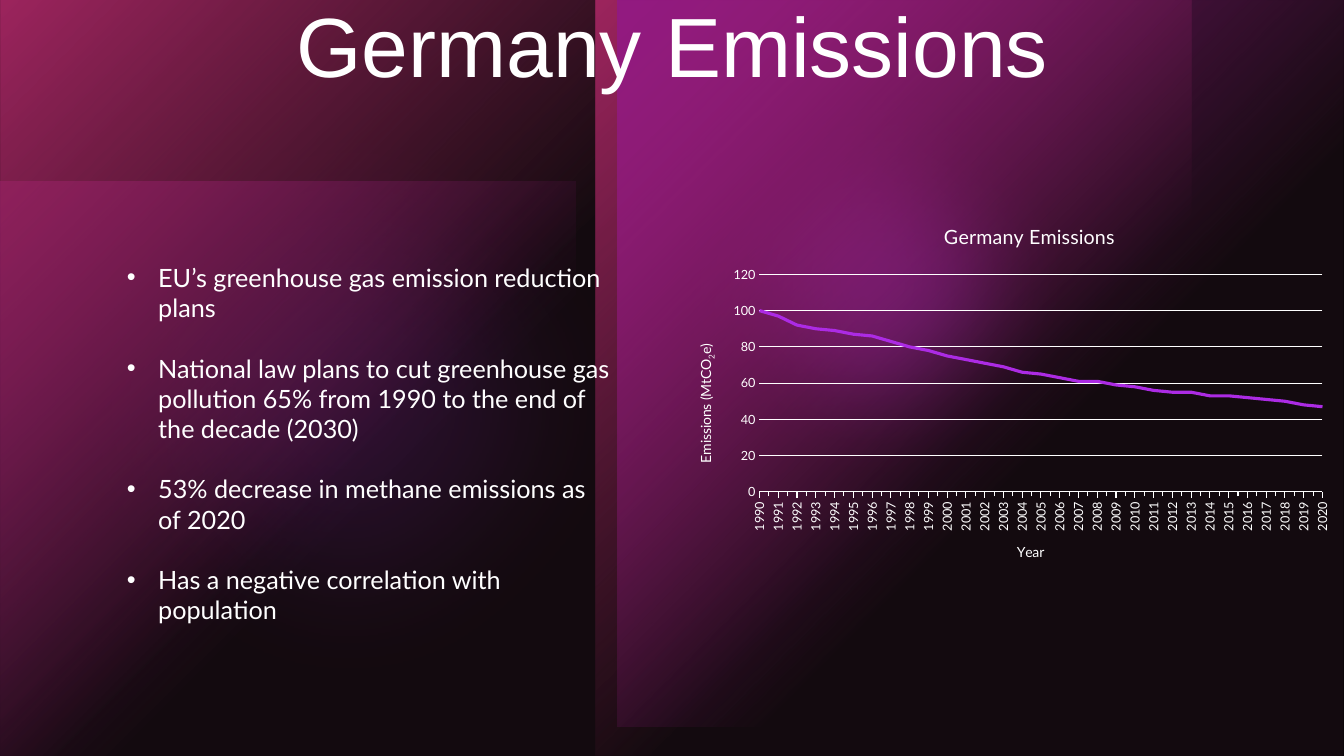
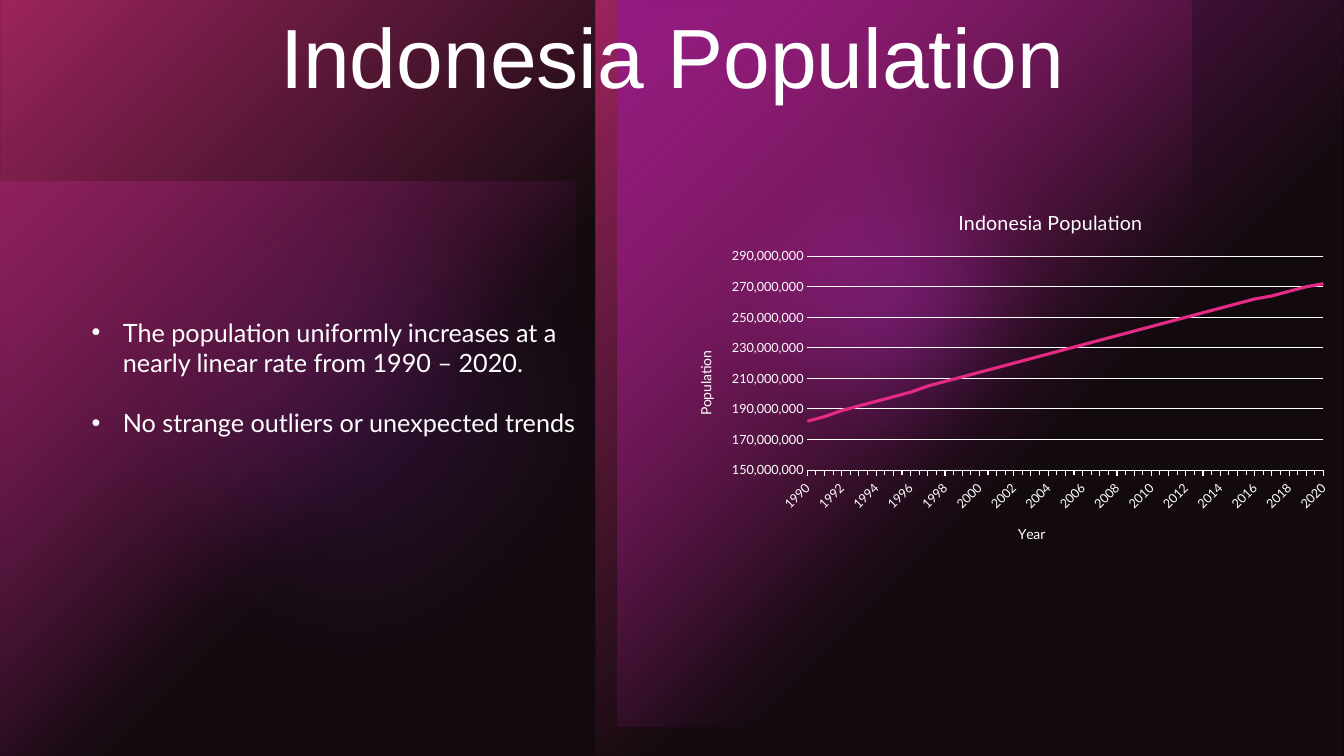
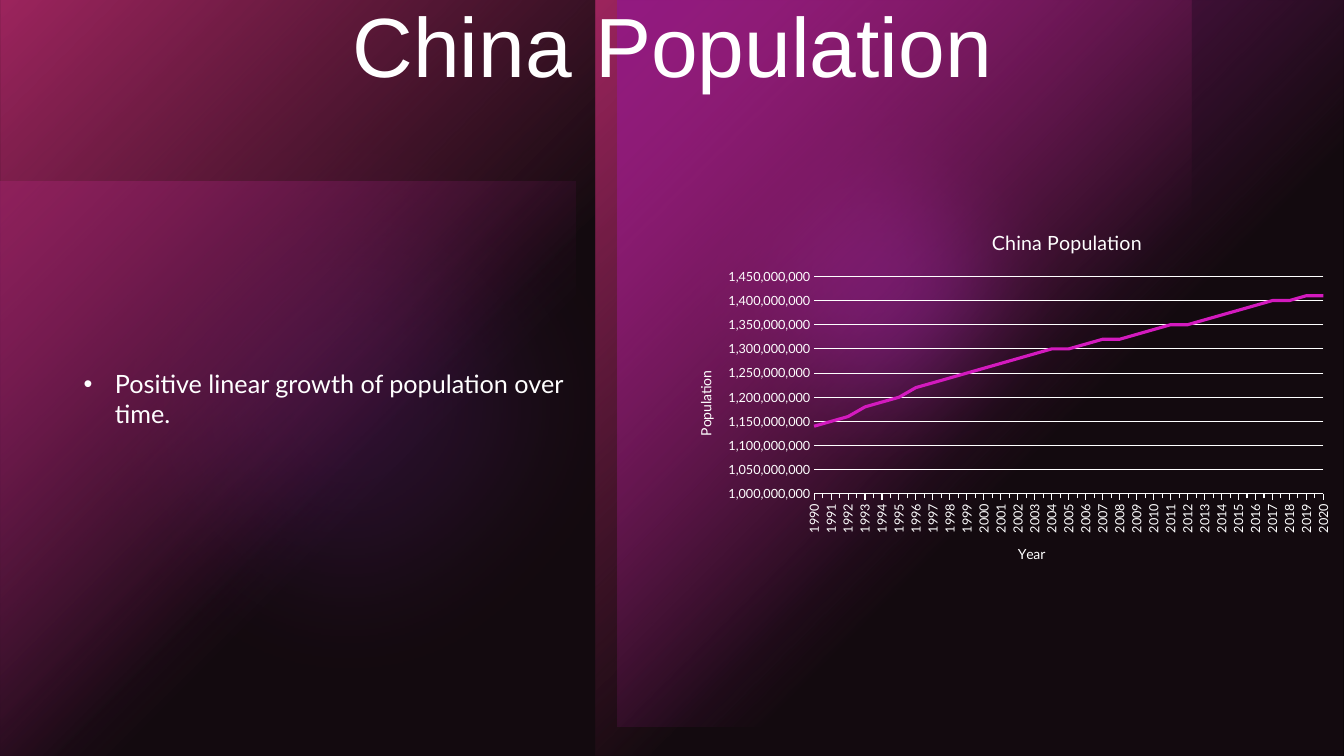
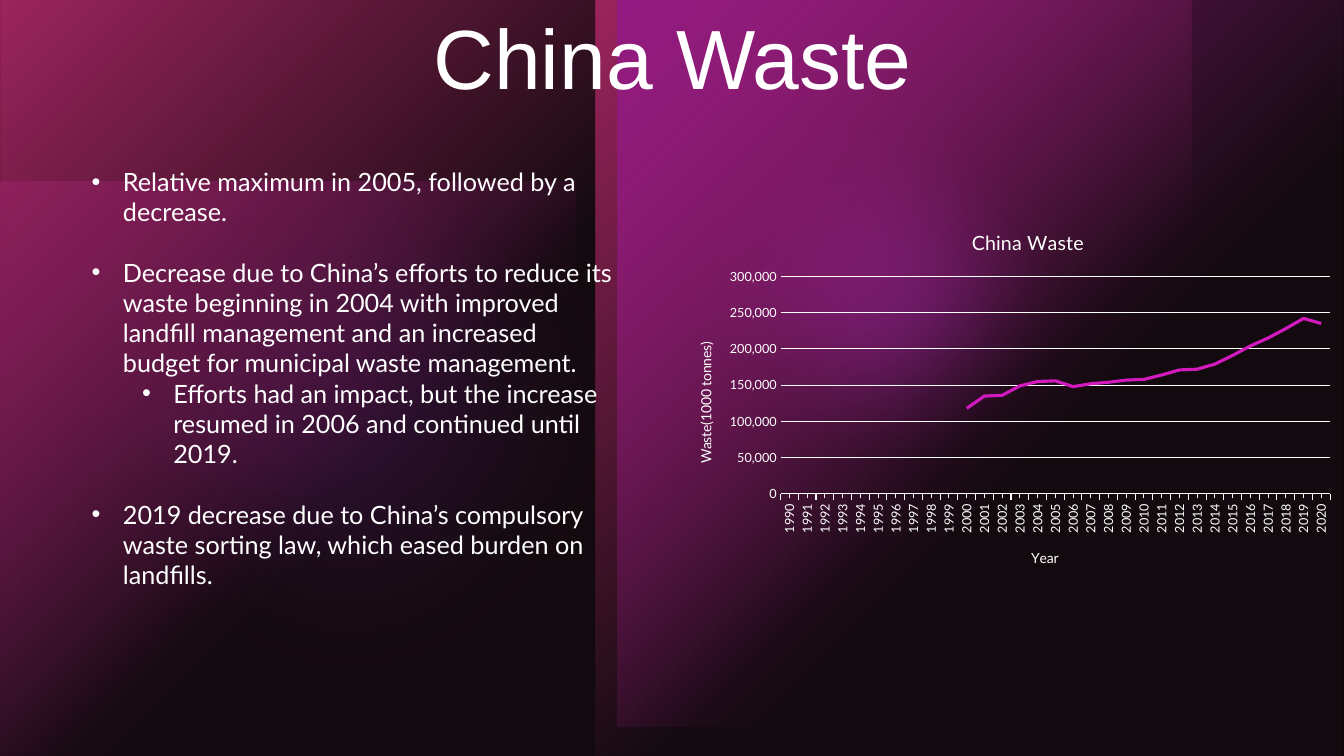
from dataclasses import dataclass

from pptx import Presentation
from pptx.chart.data import CategoryChartData
from pptx.dml.color import RGBColor
from pptx.enum.chart import XL_CHART_TYPE as ChartType, XL_TICK_MARK as TickMark
from pptx.enum.shapes import MSO_SHAPE as Preset
from pptx.enum.text import MSO_ANCHOR as Anchor, MSO_AUTO_SIZE as AutoSize, PP_ALIGN as Align
from pptx.oxml import parse_xml
from pptx.oxml.ns import nsdecls, qn
from pptx.util import Emu, Inches, Pt


@dataclass(frozen=True)
class Theme:
    black: str = "000000"
    white: str = "FFFFFF"
    pink: str = "E42B83"
    magenta: str = "D31ABE"
    violet: str = "AC2BE4"
    veil: str = "311B26"
    # Line colours in series order
    series: tuple = ("E42B83", "D31ABE", "AC2BE4", "5829D5", "2B45E4",
                     "1A81D3", "90124E", "7F1072", "6A1290", "351980")
    title_font: str = "Arial"
    text_font: str = "Lato"
    title_size: int = 60
    list_size: int = 18
    list_gap: float = 21.6
    chart_title_size: int = 14
    axis_title_size: int = 10
    tick_size: int = 9


THEME = Theme()
WIDTH, HEIGHT = 13.33, 7.5
INDENT, SUB_INDENT = 0.31, 0.81
CHART_SIZE = (6.65, 3.66)
TITLE_BOX = (1.63, 0, 10.08, 1.11)

# Backdrop: preset, box, colour, opacity %, kind, soft edge in inches, rotation, flips
BACKDROP = [
    (Preset.RECTANGLE, (0, 1.8, 5.71, 5.71), THEME.magenta, 60, "glow", 0, 0, "V"),
    (Preset.OVAL, (6.29, 0.43, 4.72, 4.72), THEME.violet, 60, "soft", 1, 0, "V"),
    (Preset.OVAL, (0, 0.56, 6.94, 6.94), THEME.violet, 20, "soft", 1.39, 0, "V"),
    (Preset.RECTANGLE, (0, 0, 5.91, 7.5), THEME.pink, 100, "glow", 0, 180, "V"),
    (Preset.RECTANGLE, (5.91, 0, 5.91, 7.5), THEME.pink, 100, "glow", 0, 180, "HV"),
    (Preset.RECTANGLE, (6.13, 0, 7.21, 7.21), THEME.magenta, 100, "glow", 0, 180, "V"),
    (Preset.RECTANGLE, (0, 0, WIDTH, HEIGHT), THEME.veil, 40, "flat", 0, 0, ""),
]

YEARS = [str(year) for year in range(1990, 2021)]

# Chart values are multiplied by "unit"; "filled" is the series (of "count") that
# holds them; layout entries are shares of the chart
SLIDES = [
    dict(
        title="Germany Emissions", title_box=TITLE_BOX, anchor=Anchor.TOP,
        list_box=(1.16, 2.53, 5.01, 3.74),
        items=[
            (0, "EU’s greenhouse gas emission reduction plans"),
            (0, "National law plans to cut greenhouse gas pollution 65% from 1990 to the end of the decade (2030)"),
            (0, "53% decrease in methane emissions as of 2020"),
            (0, "Has a negative correlation with population"),
        ],
        chart=dict(
            at=(6.67, 2.1), color=THEME.violet, unit=1, scale=(0, 120, 20),
            value_title=["Emissions (MtCO", "2", "e)"], count=5, filled=2,
            values=[100, 97, 92, 90, 89, 87, 86, 83, 80, 78, 75, 73, 71, 69, 66, 65,
                    63, 61, 61, 59, 58, 56, 55, 55, 53, 53, 52, 51, 50, 48, 47],
            plot=(0.13, 0.17, 0.84, 0.59), title_at=(0.4, 0.02),
            year_at=(0.51, 0.89), value_at=(0.03, 0.35)),
    ),
    dict(
        title="Indonesia Population", title_box=TITLE_BOX, anchor=Anchor.BOTTOM,
        list_box=(0.81, 3.09, 5.37, 1.31),
        items=[
            (0, "The population uniformly increases at a nearly linear rate from 1990 – 2020."),
            (0, "No strange outliers or unexpected trends"),
        ],
        chart=dict(
            at=(6.68, 1.92), color=THEME.pink, unit=10**6, scale=(150, 290, 20),
            value_title=["Population"], label_angle=-45, label_skip=2,
            values=[182, 185, 189, 192, 195, 198, 201, 205, 208, 211, 214, 217, 220, 223, 226, 229,
                    232, 235, 238, 241, 244, 247, 250, 253, 256, 259, 262, 264, 267, 270, 272],
            plot=(0.2, 0.17, 0.77, 0.58), title_at=(0.42, 0.03),
            year_at=(0.51, 0.89), value_at=(0.03, 0.42)),
    ),
    dict(
        title="China Population", title_box=TITLE_BOX, anchor=Anchor.TOP,
        list_box=(0.73, 3.6, 5.37, 0.71),
        items=[(0, "Positive linear growth of population over time.")],
        chart=dict(
            at=(6.68, 2.12), color=THEME.magenta, unit=10**7, scale=(100, 145, 5),
            value_title=["Population"],
            values=[114, 115, 116, 118, 119, 120, 122, 123, 124, 125, 126, 127, 128, 129, 130, 130,
                    131, 132, 132, 133, 134, 135, 135, 136, 137, 138, 139, 140, 140, 141, 141],
            plot=(0.21, 0.17, 0.76, 0.59), title_at=(0.47, 0.03),
            year_at=(0.51, 0.89), value_at=(0.03, 0.42)),
    ),
    dict(
        title="China Waste", title_box=(0.6, 0.12, 12.14, 1.15), anchor=Anchor.TOP,
        list_box=(0.81, 1.58, 5.37, 4.34),
        items=[
            (0, "Relative maximum in 2005, followed by a decrease."),
            (0, "Decrease due to China’s efforts to reduce its waste beginning in 2004 with improved "
                "landfill management and an increased budget for municipal waste management."),
            (1, "Efforts had an impact, but the increase resumed in 2006 and continued until 2019."),
            (0, "2019 decrease due to China’s compulsory waste sorting law, which eased burden on landfills."),
        ],
        chart=dict(
            at=(6.68, 2.12), color=THEME.magenta, unit=1000, scale=(0, 300, 50),
            value_title=["Waste(1000 tonnes)"], crossing="between", count=10, filled=3,
            values=[None] * 10 + [118, 135, 136, 149, 155, 156, 148, 152, 154, 157, 158,
                                  164, 171, 172, 179, 191, 204, 215, 228, 242, 235],
            plot=(0.16, 0.17, 0.82, 0.59), title_at=(0.44, 0.03),
            year_at=(0.53, 0.9), value_at=(0.03, 0.34)),
    ),
]


def rgb(color):
    return RGBColor.from_string(color)


def set_font(font, size, name=THEME.text_font):
    font.size, font.name, font.bold = Pt(size), name, False
    font.color.rgb = rgb(THEME.white)


def move(shape, box):
    shape.left, shape.top, shape.width, shape.height = map(Inches, box)


# Backdrop
def corner_glow(color, opacity):
    stops = "".join(
        f'<a:gs pos="{place}"><a:srgbClr val="{color}"><a:alpha val="{alpha * 1000}"/></a:srgbClr></a:gs>'
        for place, alpha in ((0, opacity), (60000, 0)))
    return parse_xml(
        f'<a:gradFill {nsdecls("a")} rotWithShape="1"><a:gsLst>{stops}</a:gsLst>'
        '<a:path path="circle"><a:fillToRect r="100000" b="100000"/></a:path></a:gradFill>')


def add_backdrop(layout, page):
    """Draw the backdrop and hand it to the layout, behind its placeholders."""
    layout.background.fill.solid()
    layout.background.fill.fore_color.rgb = rgb(THEME.black)
    for index, (preset, box, color, opacity, kind, edge, turn, flips) in enumerate(BACKDROP):
        shape = page.shapes.add_shape(preset, *map(Inches, box))
        shape.rotation = turn
        shape.shadow.inherit = False
        shape.line.fill.background()
        props = shape.element.spPr
        for axis in flips:
            props.xfrm.set(f"flip{axis}", "1")
        if kind == "glow":
            shape.fill.background()
            props.replace(props.find(qn("a:noFill")), corner_glow(color, opacity))
        else:
            shape.fill.solid()
            shape.fill.fore_color.rgb = rgb(color)
            tint = props.find(qn("a:solidFill"))[0]
            tint.append(parse_xml(f'<a:alpha {nsdecls("a")} val="{opacity * 1000}"/>'))
        if kind == "soft":
            props.find(qn("a:effectLst")).append(
                parse_xml(f'<a:softEdge {nsdecls("a")} rad="{int(Inches(edge))}"/>'))
        shape.element.nvSpPr.cNvPr.set("id", str(100 + index))
        layout.shapes.element.insert(2 + index, shape.element)


# Title and list
def fill_title(holder, text, box, anchor):
    move(holder, box)
    frame = holder.text_frame
    frame.text = text
    frame.auto_size, frame.vertical_anchor = AutoSize.NONE, anchor
    para = frame.paragraphs[0]
    para.alignment, para.line_spacing = Align.CENTER, 0.9
    set_font(para.font, THEME.title_size, THEME.title_font)


def fill_list(holder, items, box):
    move(holder, box)
    frame = holder.text_frame
    frame.auto_size, frame.vertical_anchor = AutoSize.NONE, Anchor.MIDDLE
    frame.margin_right = Inches(0.09)
    for index, (level, text) in enumerate(items):
        para = frame.add_paragraph() if index else frame.paragraphs[0]
        para.text, para.level = text, level
        para.alignment, para.line_spacing = Align.LEFT, 1.0
        para.space_before = Pt(THEME.list_gap if index and not level else 0)
        props = para._p.get_or_add_pPr()
        props.set("marL", str(Inches(SUB_INDENT if level else INDENT)))
        props.set("indent", str(-Inches(INDENT)))
        props.append(parse_xml(f'<a:buFont {nsdecls("a")} typeface="Arial"/>'))
        props.append(parse_xml(f'<a:buChar {nsdecls("a")} char="•"/>'))
        set_font(para.font, THEME.list_size)


# Chart
def lay_out(part, *shares):
    """Place a chart part; shares are x, y and, for the plot, width and height."""
    for old in part.findall(qn("c:layout")):
        part.remove(old)
    target = '<c:layoutTarget val="inner"/>' if len(shares) == 4 else ""
    modes = '<c:xMode val="edge"/><c:yMode val="edge"/>'
    sizes = "".join(f'<c:{name} val="{share}"/>' for name, share in zip("xywh", shares))
    layout = parse_xml(f'<c:layout {nsdecls("c")}><c:manualLayout>{target}{modes}{sizes}'
                       '</c:manualLayout></c:layout>')
    part.insert(0 if part.find(qn("c:tx")) is None else 1, layout)


def write_chart_title(frame, spans, size):
    para = frame.paragraphs[0]
    set_font(para.font, size)
    for index, text in enumerate(spans):
        span = para.add_run()
        span.text = text
        set_font(span.font, size)
        if index == 1:
            span.font._element.set("baseline", "-25000")


def white_line(line):
    line.color.rgb, line.width = rgb(THEME.white), Pt(0.75)


def add_line_chart(page, name, at, color, unit, scale, value_title, values, plot, title_at,
                   year_at, value_at, label_angle=-90, label_skip=1, crossing="midCat",
                   count=1, filled=1):
    data = CategoryChartData(number_format="#,##0")
    data.categories = YEARS
    amounts_by_year = [None if value is None else value * unit for value in values]
    for number in range(1, count + 1):
        data.add_series(f"Series {number}", amounts_by_year if number == filled else [])
    chart = page.shapes.add_chart(ChartType.LINE, *map(Inches, at + CHART_SIZE), data).chart
    chart.has_legend = False
    set_font(chart.font, THEME.axis_title_size)
    chart.plots[0].vary_by_categories = False
    for number, series in enumerate(chart.plots[0].series, 1):
        series.smooth = False
        line = series.format.line
        line.color.rgb = rgb(color if number == filled else THEME.series[number - 1])
        line.width = Pt(2.25)

    # Axes
    years, amounts = chart.category_axis, chart.value_axis
    years.major_tick_mark = years.minor_tick_mark = TickMark.OUTSIDE
    white_line(years.format.line)
    amounts.major_tick_mark = amounts.minor_tick_mark = TickMark.NONE
    amounts.format.line.fill.background()
    amounts.has_major_gridlines = True
    white_line(amounts.major_gridlines.format.line)
    amounts.minimum_scale, amounts.maximum_scale, amounts.major_unit = (n * unit for n in scale)
    amounts.tick_labels.number_format = "#,##0"
    amounts.tick_labels.number_format_is_linked = False
    for axis in (years, amounts):
        set_font(axis.tick_labels.font, THEME.tick_size)

    # Titles
    chart.has_title = True
    write_chart_title(chart.chart_title.text_frame, [name], THEME.chart_title_size)
    write_chart_title(years.axis_title.text_frame, ["Year"], THEME.axis_title_size)
    write_chart_title(amounts.axis_title.text_frame, value_title, THEME.axis_title_size)

    # Settings without a public method
    def find(route):
        return chart.element.xpath(route)[0]

    find(".//c:catAx/c:txPr/a:bodyPr").set("rot", str(label_angle * 60000))
    upright = find(".//c:valAx/c:title//a:bodyPr")
    upright.set("rot", "-5400000")
    upright.set("vert", "horz")
    find(".//c:catAx/c:noMultiLvlLbl").addprevious(
        parse_xml(f'<c:tickLblSkip {nsdecls("c")} val="{label_skip}"/>'))
    for old in chart.element.xpath(".//c:valAx/c:crossBetween"):
        old.getparent().remove(old)
    find(".//c:valAx/c:crosses").addnext(
        parse_xml(f'<c:crossBetween {nsdecls("c")} val="{crossing}"/>'))
    lay_out(find(".//c:plotArea"), *plot)
    lay_out(find("./c:chart/c:title"), *title_at)
    lay_out(find(".//c:catAx/c:title"), *year_at)
    lay_out(find(".//c:valAx/c:title"), *value_at)


def main():
    deck = Presentation()
    deck.slide_width, deck.slide_height = Emu(12192000), Inches(HEIGHT)
    layout = deck.slide_layouts[1]
    for index, content in enumerate(SLIDES):
        page = deck.slides.add_slide(layout)
        if index == 0:
            add_backdrop(layout, page)
        fill_title(page.shapes.title, content["title"], content["title_box"], content["anchor"])
        fill_list(page.placeholders[1], content["items"], content["list_box"])
        add_line_chart(page, content["title"], **content["chart"])
    deck.save("out.pptx")


if __name__ == "__main__":
    main()
